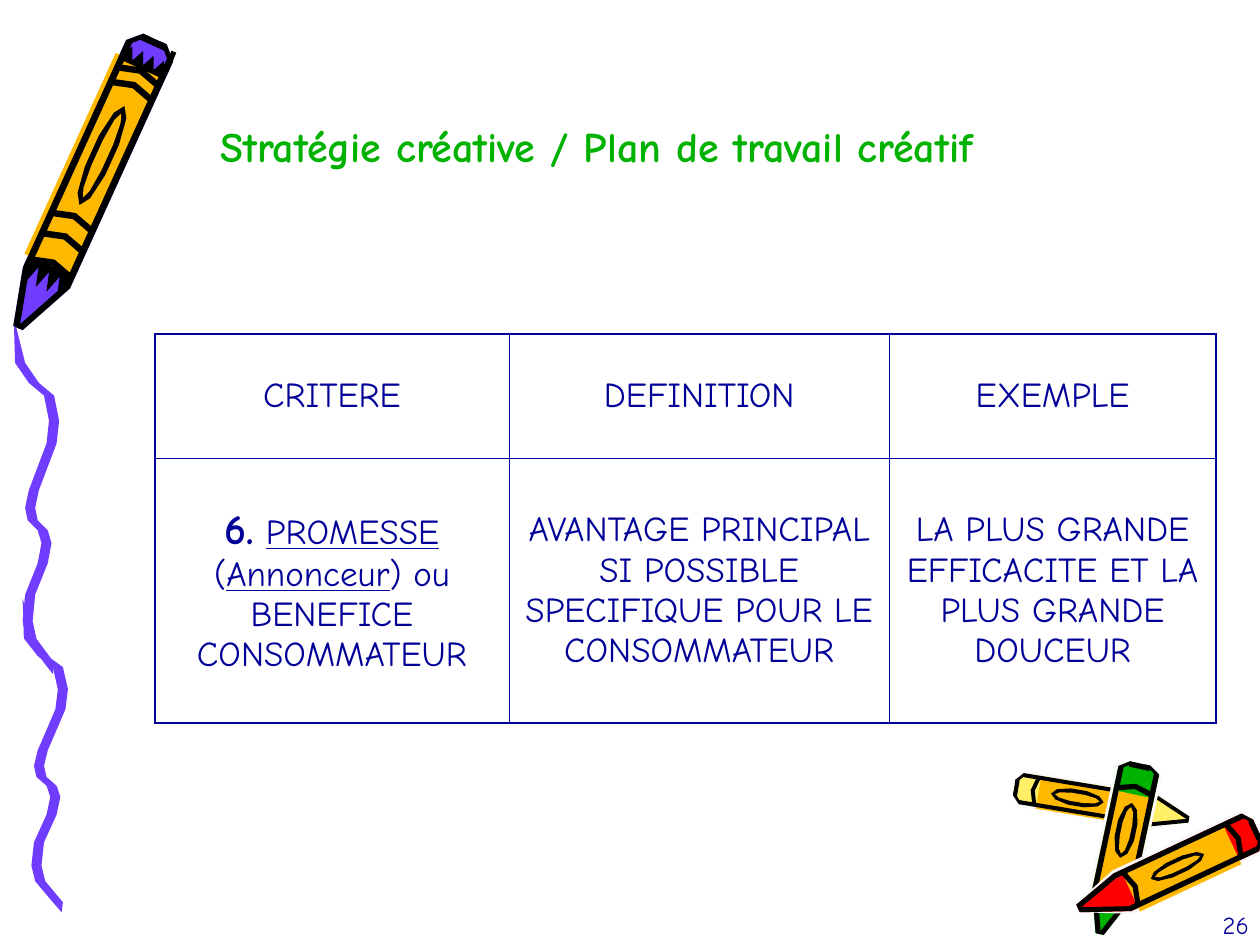
from dataclasses import dataclass
from math import cos, hypot, pi, sin
from typing import NamedTuple

from lxml.etree import SubElement
from pptx import Presentation
from pptx.dml.color import RGBColor
from pptx.enum.shapes import MSO_CONNECTOR
from pptx.enum.text import MSO_ANCHOR, MSO_AUTO_SIZE, PP_ALIGN
from pptx.oxml import parse_xml
from pptx.oxml.ns import nsdecls, qn
from pptx.util import Inches, Pt

COLORS = {
    "white": "FFFFFF", "pale": "F8F8F8", "black": "000000", "navy": "000099",
    "yellow": "FFEF66", "orange": "FFB800", "red": "FF0000", "green": "00B200",
    "violet": "703DFF",
}
FONT = "Comic Neue"
Points = list[tuple[float, float]]


class Run(NamedTuple):
    text: str
    size: int = 20
    bold: bool = False
    underline: bool = False


@dataclass
class Crayon:
    """Positions along the crayon run from 0 (tip) to 1 (end), across it from -0.5 to 0.5."""
    tip: tuple[float, float]
    end: tuple[float, float]
    width: float
    wax: str
    halo: str
    cone: float
    barrel: tuple[float, float]
    bands: list[float]
    eye: tuple[float, float, float]  # centre, length, breadth
    slip: float = 0  # how far the barrel colour is printed off its outline
    teeth: tuple[tuple[float, float], ...] = ()  # position, reach

    def place(self, points: Points) -> Points:
        """Turn positions on the crayon into inches on the slide."""
        dx, dy = self.end[0] - self.tip[0], self.end[1] - self.tip[1]
        scale = self.width / hypot(dx, dy)
        return [(self.tip[0] + u * dx - v * scale * dy, self.tip[1] + u * dy + v * scale * dx)
                for u, v in points]


BIG_CRAYON = Crayon(
    tip=(0.18, 2.62), end=(1.23, 0.31), width=0.41, wax="violet", halo="white", cone=0.18,
    barrel=(0.22, 0.91), bands=[0.2, 0.29, 0.36, 0.81, 0.86], eye=(0.6, 0.34, 0.45), slip=-0.08,
    teeth=((0.2, -0.06), (0.91, 0.04)))
SMALL_CRAYONS = [
    Crayon(tip=(9.44, 6.48), end=(8.05, 6.25), width=0.25, wax="yellow", halo="pale", cone=0.2,
           barrel=(0.2, 0.86), bands=[0.2, 0.86], eye=(0.64, 0.3, 0.55), slip=-0.05),
    Crayon(tip=(8.76, 7.42), end=(9.05, 6.06), width=0.33, wax="green", halo="pale", cone=0.24,
           barrel=(0.24, 0.82), bands=[0.24, 0.82], eye=(0.61, 0.32, 0.5)),
    Crayon(tip=(8.57, 7.24), end=(9.98, 6.58), width=0.33, wax="red", halo="pale", cone=0.24,
           barrel=(0.28, 0.85), bands=[0.27, 0.85], eye=(0.55, 0.3, 0.4), slip=0.1),
]
NIB = 0.13  # thickness of the black strokes, as a share of the crayon's width
LEAN = -0.1  # the tip sits a little off the axis

# The right edge of the scribble, from the crayon's tip downwards
SCRIBBLE = [(0.11, 2.52), (0.2, 2.88), (0.31, 3.04), (0.43, 3.14), (0.47, 3.34), (0.45, 3.52),
            (0.31, 3.89), (0.28, 4.03), (0.3, 4.13), (0.38, 4.21), (0.41, 4.31), (0.38, 4.47),
            (0.28, 4.72), (0.26, 4.93), (0.29, 5.07), (0.43, 5.26), (0.42, 5.35)]
SCRIBBLE_WIDTH = 0.08
SCRIBBLE_REPEAT = {"dx": 0.07, "top": 4.75, "scale": 0.88}

ROWS = [
    [[Run("CRITERE")], [Run("DEFINITION")], [Run("EXEMPLE")]],
    [[Run("6.", 24, bold=True), Run(" "), Run("PROMESSE ", underline=True), Run("("),
      Run("Annonceur", underline=True), Run(") ou BENEFICE CONSOMMATEUR")],
     [Run("AVANTAGE PRINCIPAL SI POSSIBLE SPECIFIQUE POUR LE CONSOMMATEUR")],
     [Run("LA PLUS GRANDE EFFICACITE ET LA PLUS GRANDE DOUCEUR")]],
]
COL_WIDTHS = [2.81, 3.02, 2.59]
ROW_HEIGHTS = [0.99, 2.1]


def rgb(name: str) -> RGBColor:
    return RGBColor.from_string(COLORS[name])


def write(p, runs: list[Run], color: str, align: PP_ALIGN) -> None:
    p.alignment = align
    for run in runs:
        r = p.add_run()
        r.text = run.text
        style = {"name": FONT, "size": Pt(run.size), "bold": run.bold, "underline": run.underline}
        for key, value in style.items():
            setattr(r.font, key, value)
        r.font.color.rgb = rgb(color)


def draw_polygon(group, points: Points, color: str) -> None:
    corners = [(Inches(x), Inches(y)) for x, y in points]
    builder = group.shapes.build_freeform(*corners[0], scale=1.0)
    builder.add_line_segments(corners[1:], close=True)
    sp = builder.convert_to_shape()
    sp.shadow.inherit = False
    sp.fill.solid()
    sp.fill.fore_color.rgb = rgb(color)
    sp.line.fill.background()


def ribbon(edge: Points, dx: float = 0, dy: float = 0) -> Points:
    """Outline of the area swept when an edge is shifted."""
    return edge + [(x + dx, y + dy) for x, y in reversed(edge)]


def lens(centre: float, length: float, breadth: float) -> Points:
    """Ten-sided oval on the crayon's axis."""
    angles = [2 * pi * i / 10 for i in range(10)]
    return [(centre + length / 2 * cos(a), breadth / 2 * sin(a)) for a in angles]


def zigzag(u: float, reach: float) -> Points:
    tips = [(u + reach * (i % 2), -0.45 + 0.9 * i / 8) for i in range(9)]
    return tips + [(u - reach / 3, 0.45), (u - reach / 3, -0.45)]


def draw_crayon(group, c: Crayon) -> None:
    nib = NIB * c.width / hypot(c.end[0] - c.tip[0], c.end[1] - c.tip[1])
    left, right = ([(0, LEAN + side * 0.1), (c.cone, side * 0.5), (0.96, side * 0.5),
                    (1, side * 0.25)] for side in (-1, 1))
    silhouette = left + right[::-1]
    start, stop = c.barrel
    barrel = [(start, -0.5), (stop, -0.5), (stop, 0.5), (start, 0.5)]
    centre, length, breadth = c.eye

    layers = [
        ([(u, v * 1.15) for u, v in silhouette], c.halo),
        (silhouette, c.wax),
        ([(u, v + c.slip) for u, v in barrel], "orange"),
        (ribbon(left, dy=NIB), "black"),
        (ribbon(right, dy=-NIB), "black"),
        (ribbon([left[-1], right[-1]], dx=-nib), "black"),
        (lens(centre, length, breadth), "black"),
        (lens(centre, length * 0.85, breadth * 0.5), "orange"),
    ]
    layers += [(ribbon([(u, -0.45), (u + nib, 0), (u, 0.45)], dx=nib), "black") for u in c.bands]
    layers += [(zigzag(u, reach), "black") for u, reach in c.teeth]
    for points, color in layers:
        draw_polygon(group, c.place(points), color)


def draw_scribbles(group) -> None:
    """Draw the scribble twice, the lower one smaller and behind."""
    dx, top, scale = SCRIBBLE_REPEAT.values()
    first_top = SCRIBBLE[0][1]
    lower = [(x + dx, top + scale * (y - first_top)) for x, y in SCRIBBLE]
    for edge in (lower, SCRIBBLE):
        swept = ribbon(edge[1:-1], dx=-SCRIBBLE_WIDTH)
        middle = len(edge) - 2
        draw_polygon(group, [edge[0], *swept[:middle], edge[-1], *swept[middle:]], "violet")


def set_borders(cell, outer: dict[str, bool]) -> None:
    """Give outer edges a thicker line than inner ones."""
    for i, (side, is_outer) in enumerate(outer.items()):
        cell._tc.get_or_add_tcPr().insert(i, parse_xml(
            f'<a:ln{side} {nsdecls("a")} w="{Pt(1.08 if is_outer else 0.45)}"><a:solidFill>'
            f'<a:srgbClr val="{COLORS["navy"]}"/></a:solidFill></a:ln{side}>'))


def draw_table(s) -> None:
    frame = s.shapes.add_table(len(ROWS), len(COL_WIDTHS), Inches(1.23), Inches(2.65),
                               Inches(sum(COL_WIDTHS)), Inches(sum(ROW_HEIGHTS)))
    table = frame.table
    table.first_row = table.horz_banding = False
    for col, width in zip(table.columns, COL_WIDTHS):
        col.width = Inches(width)
    for i, (row, height) in enumerate(zip(ROWS, ROW_HEIGHTS)):
        table.rows[i].height = Inches(height)
        for j, runs in enumerate(row):
            cell = table.cell(i, j)
            cell.vertical_anchor = MSO_ANCHOR.MIDDLE
            cell.fill.background()
            set_borders(cell, {"L": j == 0, "R": j == len(row) - 1,
                               "T": i == 0, "B": i == len(ROWS) - 1})
            write(cell.text_frame.paragraphs[0], runs, "navy", PP_ALIGN.CENTER)


def draw_title(s) -> None:
    title = s.shapes.title
    box = {"left": 1.65, "top": 0.91, "width": 6.23, "height": 0.5}
    for key, value in box.items():
        setattr(title, key, Inches(value))
    tf = title.text_frame
    frame_format = {"word_wrap": False, "auto_size": MSO_AUTO_SIZE.SHAPE_TO_FIT_TEXT,
                    "vertical_anchor": MSO_ANCHOR.TOP}
    for key, value in frame_format.items():
        setattr(tf, key, value)
    write(tf.paragraphs[0], [Run("Stratégie créative / Plan de travail créatif", 24, bold=True)],
          "green", PP_ALIGN.LEFT)


def main() -> None:
    prs = Presentation()
    prs.slide_width, prs.slide_height = Inches(10), Inches(7.5)
    s = prs.slides.add_slide(prs.slide_layouts[5])

    small_group, scribble_group, big_group = (s.shapes.add_group_shape() for _ in range(3))
    for crayon in SMALL_CRAYONS:
        draw_crayon(small_group, crayon)
    draw_scribbles(scribble_group)
    draw_crayon(big_group, BIG_CRAYON)
    edge = big_group.shapes.add_connector(MSO_CONNECTOR.STRAIGHT, Inches(1.38), Inches(0.41),
                                          Inches(1.31), Inches(0.58))
    edge.line.color.rgb = rgb("black")
    edge.line.width = Pt(3)
    SubElement(edge._element.spPr, qn("a:effectLst"))

    draw_title(s)
    draw_table(s)
    number = s.shapes.add_textbox(Inches(7.93), Inches(7.17), Inches(2.08), Inches(0.5))
    number.text_frame.word_wrap = True
    write(number.text_frame.paragraphs[0], [Run("26", 14)], "navy", PP_ALIGN.RIGHT)
    prs.save("out.pptx")


if __name__ == "__main__":
    main()
